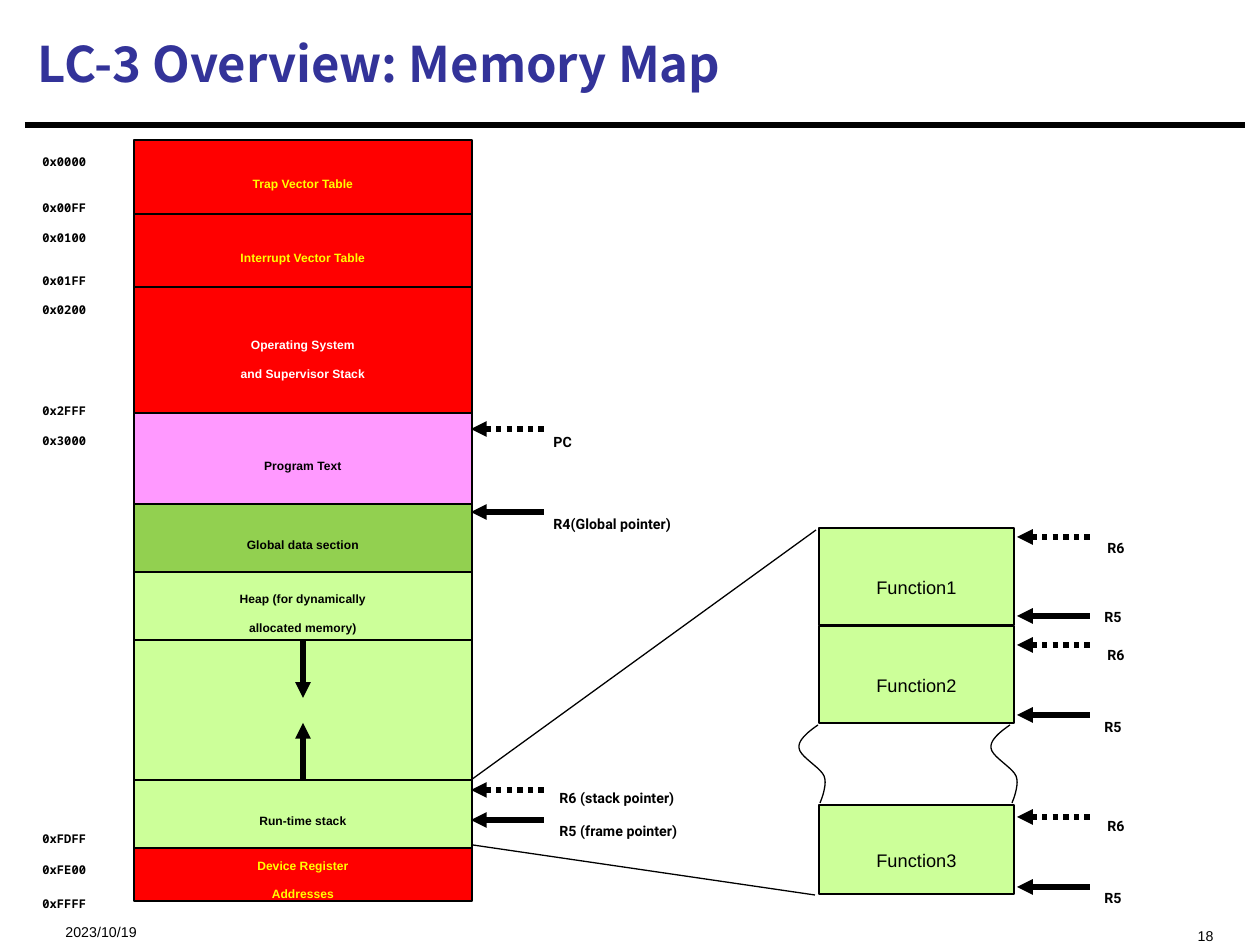
from dataclasses import dataclass

from pptx import Presentation
from pptx.dml.color import RGBColor
from pptx.enum.dml import MSO_LINE
from pptx.enum.shapes import MSO_CONNECTOR, MSO_SHAPE
from pptx.enum.text import MSO_ANCHOR as Anchor, PP_ALIGN as Align
from pptx.oxml.ns import qn
from pptx.util import Emu, Pt
from lxml.etree import SubElement

EMU_PER_PX = 914400 / 126

BLACK = RGBColor(0x00, 0x00, 0x00)
WHITE = RGBColor(0xFF, 0xFF, 0xFF)
YELLOW = RGBColor(0xFF, 0xFF, 0x00)
RED = RGBColor(0xFF, 0x00, 0x00)
PINK = RGBColor(0xFF, 0x99, 0xFF)
GREEN = RGBColor(0x92, 0xD0, 0x50)
LIME = RGBColor(0xCC, 0xFF, 0x99)
NAVY = RGBColor(0x33, 0x33, 0x99)


@dataclass
class TextStyle:
    font: str
    size: int
    color: RGBColor = BLACK
    bold: bool = True
    align: Align = Align.LEFT
    lowered: bool = True  # text is set as subscript


@dataclass
class Region:
    name: str
    top: int
    height: int
    fill: RGBColor
    color: RGBColor = BLACK


@dataclass
class Pointer:
    name: str
    y: int
    label_left: int
    label_top: int
    dotted: bool


ADDRESS = TextStyle("Noto Sans Mono", 12)
REGISTER = TextStyle("Roboto", 14)
FOOTER = TextStyle("Arial", 14, bold=False)
FUNCTION = TextStyle("Arial", 18, bold=False, align=Align.CENTER)
TITLE = TextStyle("Noto Sans CJK SC", 28, NAVY, lowered=False)

MEMORY_LEFT, MEMORY_WIDTH = 134, 338
MEMORY_ARROW_X, FUNCTION_ARROW_X, ARROW_LENGTH = 471, 1017, 73

# Later regions overlap earlier ones
REGIONS = [
    Region("", 634, 146, LIME),
    Region("Device Register\nAddresses", 844, 57, RED, YELLOW),
    Region("Trap Vector Table", 140, 74, RED, YELLOW),
    Region("Interrupt Vector Table", 214, 74, RED, YELLOW),
    Region("Operating System\nand Supervisor Stack", 287, 130, RED, WHITE),
    Region("Run-time stack", 780, 68, LIME),
    Region("Program Text", 413, 91, PINK),
    Region("Global data section", 504, 68, GREEN),
    Region("Heap (for dynamically\nallocated memory)", 572, 68, LIME),
]
ADDRESSES = [
    ("0x0000", 134), ("0x00FF", 180), ("0x0100", 210), ("0x01FF", 253),
    ("0x0200", 282), ("0x2FFF", 383), ("0x3000", 413), ("0xFDFF", 811),
    ("0xFE00", 842), ("0xFFFF", 876),
]
MEMORY_POINTERS = [
    Pointer("PC", 429, 541, 411, True),
    Pointer("R4(Global pointer)", 512, 541, 493, False),
    Pointer("R6 (stack pointer)", 790, 547, 767, True),
    Pointer("R5 (frame pointer)", 820, 547, 800, False),
]
FUNCTIONS = [("Function1", 528, 97), ("Function2", 626, 97), ("Function3", 805, 89)]
FUNCTION_POINTERS = [
    Pointer("R6", 537, 1095, 517, True),
    Pointer("R5", 616, 1092, 586, False),
    Pointer("R6", 645, 1095, 624, True),
    Pointer("R5", 715, 1092, 696, False),
    Pointer("R6", 817, 1095, 795, True),
    Pointer("R5", 887, 1092, 867, False),
]
# Cubic curves of the break between functions: start, then control points and end
BREAK_START = (818, 725)
BREAK_CURVES = [
    [(808, 732), (798, 740), (799, 748)],
    [(800, 757), (820, 767), (824, 776)],
    [(828, 785), (820, 803), (820, 803)],
]


def px(value: float) -> Emu:
    return Emu(round(value * EMU_PER_PX))


def write(shape, text: str, style: TextStyle, anchor: Anchor = Anchor.TOP) -> None:
    frame = shape.text_frame
    frame.text = text
    frame.word_wrap = True
    frame.vertical_anchor = anchor
    for paragraph in frame.paragraphs:
        paragraph.alignment = style.align
        font = paragraph.font
        font.name, font.size, font.bold = style.font, Pt(style.size), style.bold
        font.color.rgb = style.color
        if style.lowered:
            font._element.set("baseline", "-25000")


def add_label(slide, text: str, left: int, top: int, width: int, height: int,
              style: TextStyle):
    box = slide.shapes.add_textbox(px(left), px(top), px(width), px(height))
    write(box, text, style)


def add_block(slide, text: str, left: int, top: int, width: int, height: int,
              fill: RGBColor, style: TextStyle):
    block = slide.shapes.add_shape(MSO_SHAPE.RECTANGLE, px(left), px(top),
                                   px(width), px(height))
    block.shadow.inherit = False
    block.fill.solid()
    block.fill.fore_color.rgb = fill
    block.line.color.rgb = BLACK
    block.line.width = Pt(0.75)
    if text:
        write(block, text, style, Anchor.MIDDLE)
    return block


def add_line(slide, start: tuple, end: tuple, width: float = 0.75,
             arrow: bool = False, dotted: bool = False):
    """Draw a straight line; an arrowhead sits at its start."""
    line = slide.shapes.add_connector(MSO_CONNECTOR.STRAIGHT,
                                      *(px(value) for value in (*start, *end)))
    line.line.color.rgb = BLACK
    line.line.width = Pt(width)
    if dotted:
        line.line.dash_style = MSO_LINE.ROUND_DOT
    properties = line._element.spPr
    if arrow:
        SubElement(properties.find(qn("a:ln")), qn("a:headEnd"), type="triangle")
    SubElement(properties, qn("a:effectLst"))
    return line


def add_pointer(slide, pointer: Pointer, tip_x: int, label_width: int):
    add_line(slide, (tip_x, pointer.y), (tip_x + ARROW_LENGTH, pointer.y), 3,
             True, pointer.dotted)
    add_label(slide, pointer.name, pointer.label_left, pointer.label_top,
              label_width, 43, REGISTER)


def add_break(slide, shift: int, steps: int = 10):
    points, start = [], BREAK_START
    for first, second, end in BREAK_CURVES:
        for step in range(1, steps + 1):
            t = step / steps
            points.append(tuple(
                (1 - t) ** 3 * a + 3 * (1 - t) ** 2 * t * b + 3 * (1 - t) * t ** 2 * c + t ** 3 * d
                for a, b, c, d in zip(start, first, second, end)))
        start = end
    builder = slide.shapes.build_freeform(px(BREAK_START[0] + shift), px(BREAK_START[1]))
    builder.add_line_segments([(px(x + shift), px(y)) for x, y in points], close=False)
    curve = builder.convert_to_shape()
    curve.shadow.inherit = False
    curve.fill.background()
    curve.line.color.rgb = BLACK
    curve.line.width = Pt(0.75)


def main() -> None:
    presentation = Presentation()
    presentation.slide_width, presentation.slide_height = px(1260), px(945)
    slide = presentation.slides.add_slide(presentation.slide_layouts[5])

    # Title, rule and footer
    title = slide.shapes.title
    title.left, title.top, title.width, title.height = map(px, (25, 10, 1218, 106))
    write(title, "LC-3 Overview: Memory Map", TITLE, Anchor.MIDDLE)
    add_line(slide, (25, 125), (1245, 125), 3.75)
    add_label(slide, "2023/10/19", 53, 901, 315, 34, FOOTER)
    add_label(slide, "18", 848, 905, 378, 34,
              TextStyle("Arial", 14, bold=False, align=Align.RIGHT))

    # Memory map with addresses
    blocks = {}
    for region in REGIONS:
        style = TextStyle("Arial", 12, region.color, align=Align.CENTER)
        blocks[region.name] = add_block(slide, region.name, MEMORY_LEFT, region.top,
                                        MEMORY_WIDTH, region.height, region.fill, style)
    for address, top in ADDRESSES:
        add_label(slide, address, 30, top, 110, 38, ADDRESS)

    # Heap and stack grow towards each other
    center = MEMORY_LEFT + MEMORY_WIDTH // 2
    heap, stack = blocks[REGIONS[-1].name], blocks["Run-time stack"]
    add_line(slide, (center, 698), (center, 640), 3, True).end_connect(heap, 2)
    add_line(slide, (center, 723), (center, 780), 3, True).end_connect(stack, 0)
    for pointer in MEMORY_POINTERS:
        add_pointer(slide, pointer, MEMORY_ARROW_X, 218)

    # Stack frames of the functions
    for name, top, height in FUNCTIONS:
        add_block(slide, name, 819, top, 195, height, LIME, FUNCTION)
    for shift in (0, 192):
        add_break(slide, shift)
    for pointer in FUNCTION_POINTERS:
        add_pointer(slide, pointer, FUNCTION_ARROW_X, 62)

    # Zoom lines from the run-time stack
    add_line(slide, (471, 780), (816, 530))
    add_line(slide, (473, 845), (815, 895))

    presentation.save("out.pptx")


if __name__ == "__main__":
    main()
